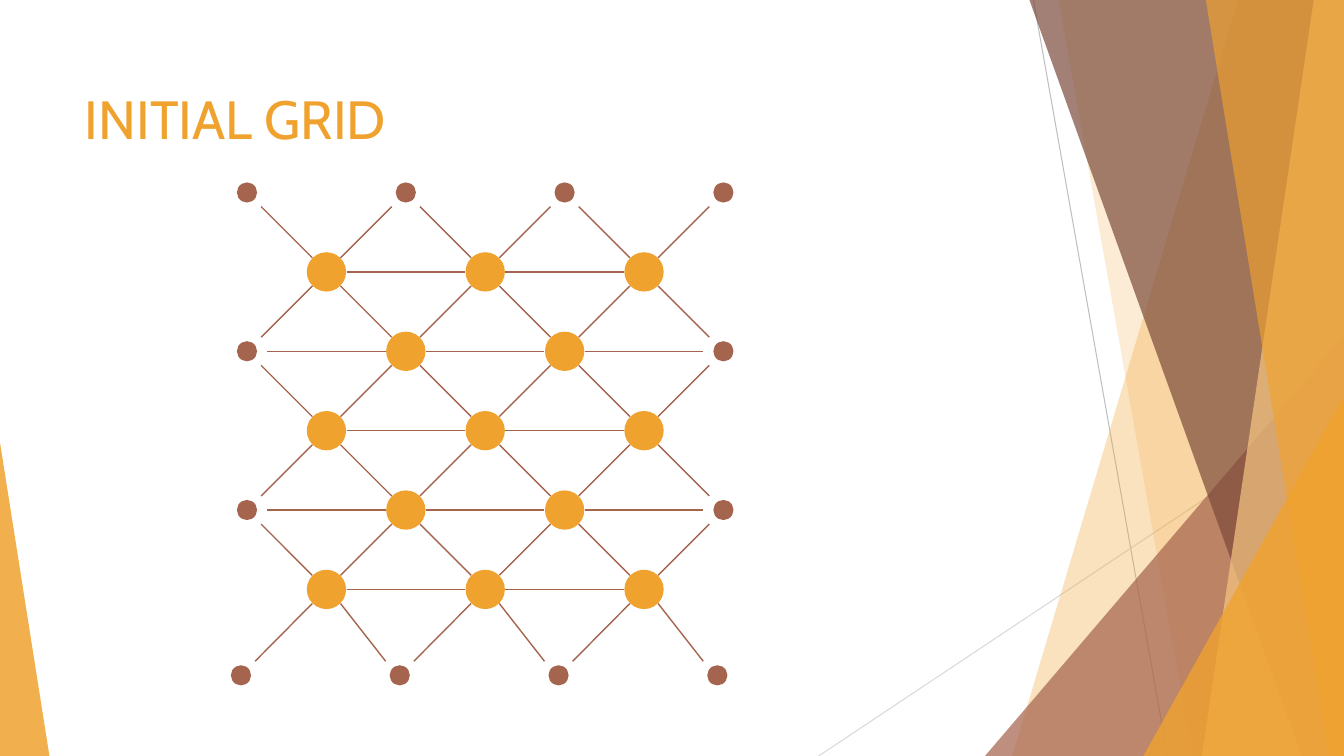
from itertools import pairwise, product

from lxml.etree import SubElement
from pptx import Presentation
from pptx.dml.color import RGBColor
from pptx.enum.shapes import MSO_CONNECTOR, MSO_SHAPE
from pptx.enum.text import MSO_ANCHOR, MSO_AUTO_SIZE, PP_ALIGN
from pptx.oxml.ns import qn
from pptx.util import Inches, Pt

WIDTH, HEIGHT = 13.33, 7.5
ORANGE, BROWN = "F0A22E", "A5644E"


def paint(shape, color, opacity=100):
    """Give a shape a plain fill, optionally see-through, without line or shadow."""
    shape.shadow.inherit = False
    shape.line.fill.background()
    shape.fill.solid()
    shape.fill.fore_color.rgb = RGBColor.from_string(color)
    if opacity < 100:
        color_element = shape.fill._xPr.find(qn("a:solidFill"))[0]
        SubElement(color_element, qn("a:alpha")).set("val", str(opacity * 1000))


def draw_line(start, end, color, width):
    """Draw a straight line between two points given in inches."""
    points = [Inches(value) for value in (*start, *end)]
    line = slide.shapes.add_connector(MSO_CONNECTOR.STRAIGHT, *points)
    line.line.color.rgb = RGBColor.from_string(color)
    line.line.width = Pt(width)
    SubElement(line._element.spPr, qn("a:effectLst"))


presentation = Presentation()
presentation.slide_width = Inches(WIDTH)
presentation.slide_height = Inches(HEIGHT)
slide = presentation.slides.add_slide(presentation.slide_layouts[5])

# Title
title = slide.shapes.title
title_place = {"left": 0.74, "top": 0.67, "width": 9.4, "height": 1.44}
for name, value in title_place.items():
    setattr(title, name, Inches(value))
frame_format = {"vertical_anchor": MSO_ANCHOR.TOP, "auto_size": MSO_AUTO_SIZE.NONE,
                "word_wrap": True}
for name, value in frame_format.items():
    setattr(title.text_frame, name, value)
paragraph = title.text_frame.paragraphs[0]
paragraph.alignment = PP_ALIGN.LEFT
run = paragraph.add_run()
run.text = "initial grid"
for name, value in {"name": "Cabin", "size": Pt(48)}.items():
    setattr(run.font, name, value)
run.font.color.rgb = RGBColor.from_string(ORANGE)
run._r.get_or_add_rPr().set("cap", "small")

# Facets at the slide edges, from back to front
draw_line((10.25, 0), (11.58, HEIGHT), "BFBFBF", 0.75)
draw_line((WIDTH, 4.03), (8.12, HEIGHT), "D9D9D9", 0.75)
right_edge = [(WIDTH, 0), (WIDTH, HEIGHT)]
facets = [
    ([(12.28, 0), *right_edge, (10.04, HEIGHT)], ORANGE, 30),
    ([(10.5, 0), *right_edge, (11.83, HEIGHT)], ORANGE, 20),
    ((9.77, 3.33, 3.56, 1), BROWN, 72),
    ([(10.21, 0), *right_edge, (12.91, HEIGHT)], "7C4B3B", 70),
    ([(13.03, 0), *right_edge, (11.92, HEIGHT)], "F6C782", 70),
    ([(11.96, 0), *right_edge, (13.18, HEIGHT)], ORANGE, 65),
    ((11.34, 3.93, 1.99, 1), ORANGE, 80),
    ((0, 4.39, 0.49, 0), ORANGE, 85),
]
for outline, color, opacity in facets:
    if isinstance(outline, list):
        corners = [(Inches(x), Inches(y)) for x, y in outline]
        builder = slide.shapes.build_freeform(*corners[0])
        builder.add_line_segments(corners[1:], close=True)
        facet = builder.convert_to_shape()
    else:
        left, top, width, apex = outline
        facet = slide.shapes.add_shape(
            MSO_SHAPE.ISOSCELES_TRIANGLE,
            *[Inches(value) for value in (left, top, width, HEIGHT - top)])
        facet.adjustments[0] = apex
    paint(facet, color, opacity)

# Staggered grid: even rows hold columns 0, 2, 4, 6 and odd rows 1, 3, 5
HALF_STEP = 0.7875
LAST_ROW, LAST_COLUMN = 6, 6
nodes = {}
for row in range(LAST_ROW + 1):
    for column in range(row % 2, LAST_COLUMN + 1, 2):
        nodes[row, column] = (2.45 + column * HALF_STEP, 1.91 + row * HALF_STEP)
    if row == LAST_ROW:
        for column in range(0, LAST_COLUMN + 1, 2):
            nodes[row, column] = (2.39 + column * HALF_STEP, 6.7)

# Diagonal links between neighbouring rows
GAP, DIAGONAL_GAP = 0.2, 0.14
for (row, column), side in product(nodes, (-1, 1)):
    if (row + 1, column + side) in nodes:
        x, y = nodes[row, column]
        next_x, next_y = nodes[row + 1, column + side]
        shift = side * DIAGONAL_GAP
        draw_line((x + shift, y + DIAGONAL_GAP),
                  (next_x - shift, next_y - DIAGONAL_GAP), BROWN, 1)

# Horizontal links inside every row but the first and last
for row in range(1, LAST_ROW):
    row_nodes = [place for (node_row, _), place in nodes.items() if node_row == row]
    for (x, y), (next_x, _) in pairwise(row_nodes):
        draw_line((x + GAP, y), (next_x - GAP, y), BROWN, 1)

# Large orange nodes inside, small brown nodes on the border
for (row, column), (x, y) in nodes.items():
    border = row in (0, LAST_ROW) or column in (0, LAST_COLUMN)
    size, color = (0.2, BROWN) if border else (0.39, ORANGE)
    node = slide.shapes.add_shape(
        MSO_SHAPE.OVAL, Inches(x - size / 2), Inches(y - size / 2),
        Inches(size), Inches(size))
    paint(node, color)

presentation.save("out.pptx")
